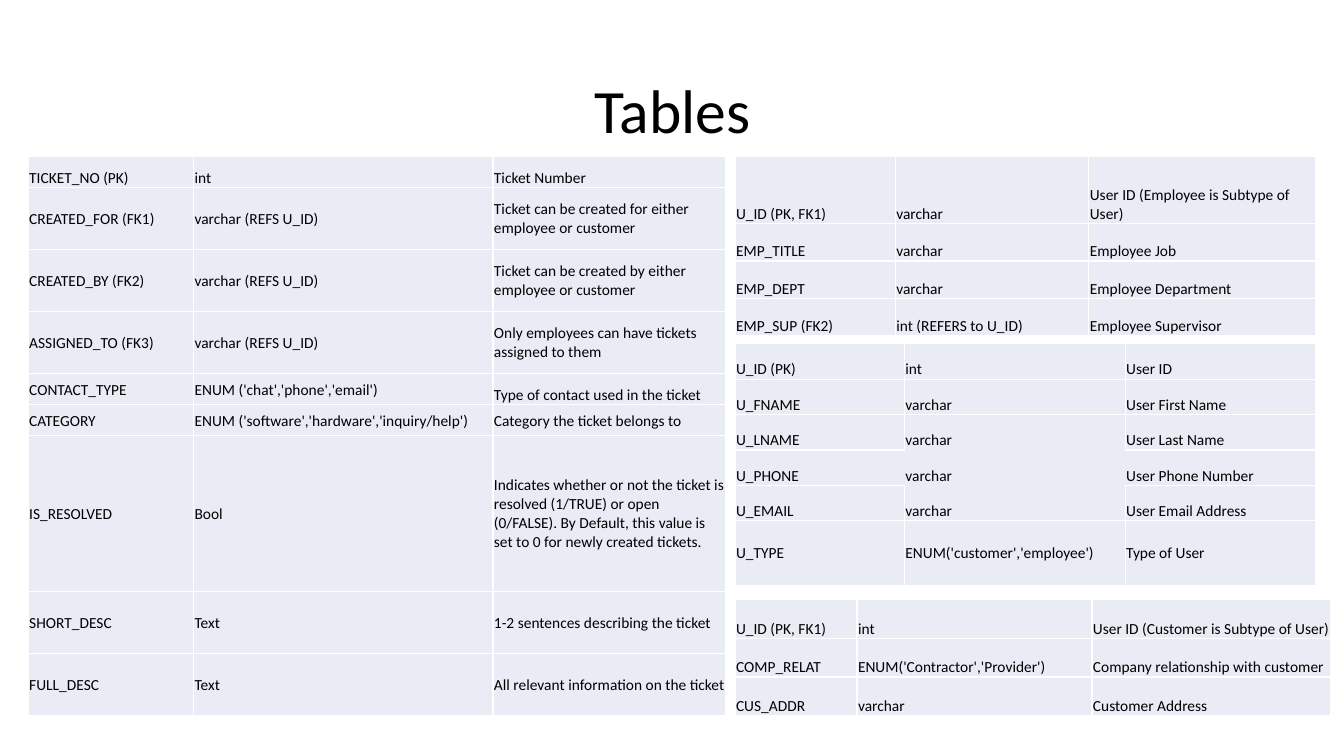
from dataclasses import dataclass

from lxml.etree import SubElement
from pptx import Presentation
from pptx.dml.color import RGBColor as RGB
from pptx.enum.text import MSO_ANCHOR as Anchor, PP_ALIGN as Align
from pptx.oxml.ns import qn
from pptx.util import Inches, Pt


@dataclass(frozen=True)
class Theme:
    font: str = "Calibri"
    text: str = "000000"
    fill: str = "E9EBF5"
    border: str = "FFFFFF"
    title_size: int = 44
    cell_size: int = 11
    border_width: int = 1


THEME = Theme()
ANCHORS = {"b": Anchor.BOTTOM, "m": Anchor.MIDDLE}
TITLE = "Tables"
TITLE_BOX = (0.92, 0.4, 11.5, 1.45)

# Each row: relative height, vertical anchor per column, cell texts.
TICKET = {
    "at": (0.28, 1.55), "height": 5.55, "cols": (1.64, 2.97, 2.31),
    "rows": [
        (1, "bbb", ("TICKET_NO (PK)", "int", "Ticket Number")),
        (2, "mmm", ("CREATED_FOR (FK1)", "varchar (REFS U_ID)",
                    "Ticket can be created for either employee or customer")),
        (2, "mmm", ("CREATED_BY (FK2)", "varchar (REFS U_ID)",
                    "Ticket can be created by either employee or customer")),
        (2, "mmm", ("ASSIGNED_TO (FK3)", "varchar (REFS U_ID)",
                    "Only employees can have tickets assigned to them")),
        (1, "mmb", ("CONTACT_TYPE", "ENUM ('chat','phone','email')",
                    "Type of contact used in the ticket")),
        (1, "mmm", ("CATEGORY", "ENUM ('software','hardware','inquiry/help')",
                    "Category the ticket belongs to")),
        (5, "mmm", ("IS_RESOLVED", "Bool",
                    "Indicates whether or not the ticket is resolved (1/TRUE) or open "
                    "(0/FALSE). By Default, this value is set to 0 for newly created tickets.")),
        (2, "mmm", ("SHORT_DESC", "Text", "1-2 sentences describing the ticket")),
        (2, "mmm", ("FULL_DESC", "Text", "All relevant information on the ticket")),
    ],
}
EMPLOYEE = {
    "at": (7.29, 1.55), "height": 1.78, "cols": (1.59, 1.92, 2.25),
    "rows": [
        (0.67, "bbb", ("U_ID (PK, FK1)", "varchar", "User ID (Employee is Subtype of User)")),
        (0.37, "bbb", ("EMP_TITLE", "varchar", "Employee Job")),
        (0.37, "bbb", ("EMP_DEPT", "varchar", "Employee Department")),
        (0.37, "bbb", ("EMP_SUP (FK2)", "int (REFERS to U_ID)", "Employee Supervisor")),
    ],
}
CUSTOMER = {
    "at": (7.29, 5.95), "height": 1.15, "cols": (1.21, 2.33, 2.37),
    "rows": [
        (1, "bbb", ("U_ID (PK, FK1)", "int", "User ID (Customer is Subtype of User)")),
        (1, "bbb", ("COMP_RELAT", "ENUM('Contractor','Provider')",
                    "Company relationship with customer")),
        (1, "bbb", ("CUS_ADDR", "varchar", "Customer Address")),
    ],
}
USER = {
    "at": (7.29, 3.41), "height": 2.4, "cols": (1.68, 2.19, 1.89),
    "borderless": (3, 1),
    "rows": [
        (0.35, "bbb", ("U_ID (PK)", "int", "User ID")),
        (0.35, "bbb", ("U_FNAME", "varchar", "User First Name")),
        (0.35, "bbb", ("U_LNAME", "varchar", "User Last Name")),
        (0.35, "bbb", ("U_PHONE", "varchar", "User Phone Number")),
        (0.35, "bbb", ("U_EMAIL", "varchar", "User Email Address")),
        (0.64, "mmm", ("U_TYPE", "ENUM('customer','employee')", "Type of User")),
    ],
}
TABLES = [TICKET, EMPLOYEE, CUSTOMER, USER]
SIDES = {"L": (0, -1), "R": (0, 1), "T": (-1, 0), "B": (1, 0)}


def style_run(r, size):
    r.font.name = THEME.font
    r.font.size = Pt(size)
    r.font.color.rgb = RGB.from_string(THEME.text)


def set_borders(cell, open_sides):
    """Rule every side of the cell except the open ones."""
    props = cell._tc.get_or_add_tcPr()
    for i, side in enumerate(SIDES):
        ln = SubElement(props, qn(f"a:ln{side}"), w=str(Pt(THEME.border_width)))
        if side in open_sides:
            SubElement(ln, qn("a:noFill"))
        else:
            solid = SubElement(ln, qn("a:solidFill"))
            SubElement(solid, qn("a:srgbClr"), val=THEME.border)
        props.insert(i, ln)


def find_open_sides(pos, borderless):
    """Sides that touch the borderless cell, or all sides of that cell."""
    if borderless is None:
        return set()
    if pos == borderless:
        return set(SIDES)
    return {side for side, (dr, dc) in SIDES.items()
            if (pos[0] + dr, pos[1] + dc) == borderless}


def fill_cell(cell, text, anchor, open_sides):
    cell.text_frame.text = text
    style_run(cell.text_frame.paragraphs[0].runs[0], THEME.cell_size)
    cell.vertical_anchor = ANCHORS[anchor]
    cell.margin_left = cell.margin_right = cell.margin_top = Inches(0.01)
    cell.margin_bottom = 0
    cell.fill.solid()
    cell.fill.fore_color.rgb = RGB.from_string(THEME.fill)
    set_borders(cell, open_sides)


def add_schema_table(s, schema):
    rows, cols = schema["rows"], schema["cols"]
    left, top = schema["at"]
    table = s.shapes.add_table(len(rows), len(cols), Inches(left), Inches(top),
                               Inches(sum(cols)), Inches(schema["height"])).table
    table.first_row = table.horz_banding = False
    for column, width in zip(table.columns, cols):
        column.width = Inches(width)
    unit = schema["height"] / sum(row[0] for row in rows)
    for i, (weight, anchors, texts) in enumerate(rows):
        table.rows[i].height = Inches(weight * unit)
        for j, (text, anchor) in enumerate(zip(texts, anchors)):
            open_sides = find_open_sides((i, j), schema.get("borderless"))
            fill_cell(table.cell(i, j), text, anchor, open_sides)


def add_title(s):
    sp = s.shapes.title
    sp.left, sp.top, sp.width, sp.height = map(Inches, TITLE_BOX)
    tf = sp.text_frame
    tf.text = TITLE
    tf.vertical_anchor = Anchor.MIDDLE
    p = tf.paragraphs[0]
    p.alignment = Align.CENTER
    p.line_spacing = 0.9
    style_run(p.runs[0], THEME.title_size)


def main():
    prs = Presentation()
    prs.slide_width, prs.slide_height = Inches(13.33), Inches(7.5)
    s = prs.slides.add_slide(prs.slide_layouts[5])
    add_title(s)
    for schema in TABLES:
        add_schema_table(s, schema)
    prs.save("out.pptx")


if __name__ == "__main__":
    main()
